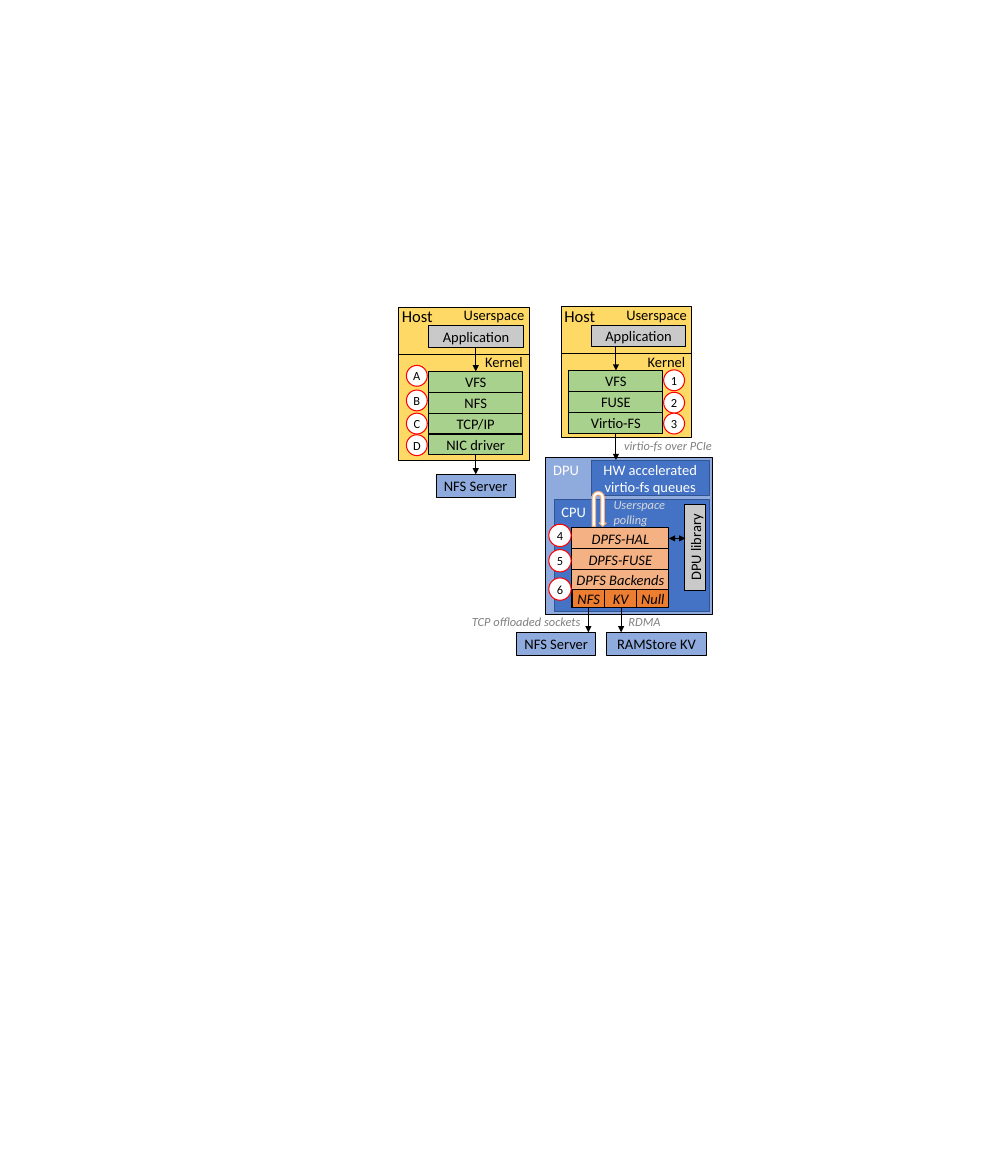
from lxml import etree
from pptx import Presentation
from pptx import util as u
from pptx.dml import color
from pptx.enum import shapes, text
from pptx.oxml import ns

BLACK, WHITE, GREY = "000000", "FFFFFF", "808080"
YELLOW, SILVER, GREEN = "FFD966", "C9C9C9", "A9D18E"
LIGHT_BLUE, BLUE, NAVY = "8FAADC", "4472C4", "325491"
PEACH, ORANGE, RED = "F4B183", "ED7D31", "FF0000"
TOP, MIDDLE = text.MSO_ANCHOR.TOP, text.MSO_ANCHOR.MIDDLE
LEFT, CENTER, RIGHT = text.PP_ALIGN.LEFT, text.PP_ALIGN.CENTER, text.PP_ALIGN.RIGHT
RECT, OVAL = shapes.MSO_SHAPE.RECTANGLE, shapes.MSO_SHAPE.OVAL
LAYER_H = 0.28

prs = Presentation()
prs.slide_width, prs.slide_height = u.Inches(13.33), u.Inches(15.77)
slide = prs.slides.add_slide(prs.slide_layouts[6])


def rgb(hex_color):
    return color.RGBColor.from_string(hex_color)


def inches(*lengths):
    return [u.Inches(length) for length in lengths]


def write(holder, words, size=14, ink=BLACK, italic=False, align=CENTER,
          anchor=MIDDLE, wrap=True, insets=(0.1, 0.05)):
    frame = holder.text_frame
    frame.word_wrap, frame.vertical_anchor = wrap, anchor
    frame.margin_left = frame.margin_right = u.Inches(insets[0])
    frame.margin_top = frame.margin_bottom = u.Inches(insets[1])
    frame.text = words
    for line in frame.paragraphs:
        line.alignment = align
        font = line.runs[0].font
        font.name, font.size, font.italic = "Calibri", u.Pt(size), italic
        font.color.rgb = rgb(ink)


def block(left, top, width, height, fill, words="", outline=BLACK,
          weight=1, preset=RECT, **fmt):
    part = slide.shapes.add_shape(preset, *inches(left, top, width, height))
    part.shadow.inherit = False
    part.fill.solid()
    part.fill.fore_color.rgb = rgb(fill)
    part.line.color.rgb = rgb(outline)
    part.line.width = u.Pt(weight)
    if words:
        write(part, words, **fmt)
    return part


def label(left, top, width, height, words, align=LEFT, wrap=False, **fmt):
    box = slide.shapes.add_textbox(*inches(left, top, width, height))
    write(box, words, align=align, anchor=TOP, wrap=wrap, **fmt)


def note(left, top, width, height, words, ink=GREY):
    label(left, top, width, height, words, size=12, ink=ink, italic=True)


def line(x1, y1, x2, y2, ends=()):
    link = slide.shapes.add_connector(shapes.MSO_CONNECTOR.STRAIGHT,
                                      *inches(x1, y1, x2, y2))
    link.line.color.rgb = rgb(BLACK)
    link.line.width = u.Pt(1)
    stroke = link.line._get_or_add_ln()
    for end in ends:
        etree.SubElement(stroke, ns.qn(f"a:{end}"), type="triangle")
    etree.SubElement(link._element.spPr, ns.qn("a:effectLst"))


def arrow_down(x, top, bottom):
    line(x, top, x, bottom, ends=["tailEnd"])


def badge(left, top, size, mark):
    block(left, top, size, size, WHITE, mark, outline=RED, preset=OVAL,
          size=12, wrap=False)


def server(left, top, width, name):
    block(left, top, width, 0.31, LIGHT_BLUE, name)


def host(left, top, width, height, layers, stack_x, badge_x, badge_tops, marks):
    """Host with an application in userspace and a stack of kernel layers."""
    block(left, top, width, height, YELLOW)
    label(left - 0.06, top - 0.06, 0.62, 0.37, "Host", size=16)
    # Userspace
    label(left + 0.77, top - 0.06, 1.02, 0.34, "Userspace")
    block(left + 0.4, top + 0.25, 1.27, 0.29, SILVER, "Application")
    line(left, top + 0.63, left + width, top + 0.63)
    # Kernel
    label(left + 0.7, top + 0.57, width - 0.69, 0.34, "Kernel", align=RIGHT, wrap=True)
    arrow_down(left + stack_x + 0.63, top + 0.54, top + 0.86)
    for row, layer in enumerate(layers):
        block(left + stack_x, top + 0.86 + row * LAYER_H, 1.26, LAYER_H, GREEN, layer)
    for mark, offset in zip(marks, badge_tops):
        badge(left + badge_x, top + offset, 0.28, mark)


def dpu(left, top, width, height):
    """DPU with hardware queues, a CPU running the DPFS stack, and a library."""
    block(left, top, width, height, LIGHT_BLUE, "DPU", ink=WHITE, align=LEFT, anchor=TOP)
    block(left + 0.61, top + 0.05, 1.58, 0.46, BLUE,
          "HW accelerated\nvirtio-fs queues", outline=NAVY, ink=WHITE)
    block(left + 0.11, top + 0.57, 2.09, 1.5, BLUE, "CPU", outline=NAVY,
          ink=WHITE, align=LEFT, anchor=TOP)
    # Polling loop
    note(left + 0.81, top + 0.49, 0.9, 0.5, "Userspace\npolling", ink="D9D9D9")
    loop = block(left + 0.62, top + 0.46, 0.19, 0.47, WHITE, outline=PEACH,
                 preset=shapes.MSO_SHAPE.U_TURN_ARROW)
    for index, value in enumerate([0.25, 0.25, 0.25, 0.44, 1]):
        loop.adjustments[index] = value
    # DPFS stack
    stack_x, stack_y = left + 0.35, top + 0.95
    for row, layer in enumerate(["DPFS-HAL", "DPFS-FUSE"]):
        block(stack_x, stack_y + row * LAYER_H, 1.3, LAYER_H, PEACH, layer, italic=True)
    block(stack_x, stack_y + 2 * LAYER_H, 1.3, 0.51, PEACH, "DPFS Backends",
          italic=True, anchor=TOP, wrap=False, insets=(0.1, 0.02))
    for column, backend in enumerate(["NFS", "KV", "Null"]):
        block(stack_x + 0.01 + column * 0.43, top + 1.78, 0.43, 0.24, ORANGE,
              backend, weight=0.75, italic=True, anchor=TOP, insets=(0, 0))
    for mark, offset in zip("456", [0.9, 1.24, 1.62]):
        badge(left + 0.04, top + offset, 0.3, mark)
    # Library beside the stack
    library = block(left + 1.43, top + 1.07, 1.15, 0.28, SILVER, "DPU library")
    library.rotation = 270
    line(left + 1.65, top + 1.09, left + 1.87, top + 1.09, ends=["headEnd", "tailEnd"])


def kernel_nfs_setup(left, top):
    """Host that reaches the NFS server through its own kernel."""
    host(left, top, 1.75, 2.05, ["VFS", "NFS", "TCP/IP", "NIC driver"],
         0.4, 0.1, [0.78, 1.11, 1.42, 1.71], "ABCD")
    arrow_down(left + 1.03, top + 1.97, top + 2.24)
    server(left + 0.5, top + 2.24, 1.06, "NFS Server")


def dpu_setup(left, top):
    """Host that hands its file system over to a DPU."""
    host(left, top, 1.75, 1.76, ["VFS", "FUSE", "Virtio-FS"],
         0.1, 1.37, [0.85, 1.15, 1.43], "123")
    dpu(left - 0.21, top + 2.02, 2.24, 2.11)
    arrow_down(left + 0.73, top + 1.7, top + 2.06)
    note(left + 0.74, top + 1.72, 1.42, 0.3, "virtio-fs over PCIe")
    # Remote servers
    for arrow_x in [0.36, 0.8]:
        arrow_down(left + arrow_x, top + 4.04, top + 4.37)
    note(left - 1.3, top + 4.08, 1.68, 0.5, "TCP offloaded sockets")
    note(left + 0.8, top + 4.08, 0.64, 0.3, "RDMA")
    server(left - 0.6, top + 4.37, 1.06, "NFS Server")
    server(left + 0.6, top + 4.37, 1.35, "RAMStore KV")


kernel_nfs_setup(5.35, 4.12)
dpu_setup(7.53, 4.11)
prs.save("out.pptx")
